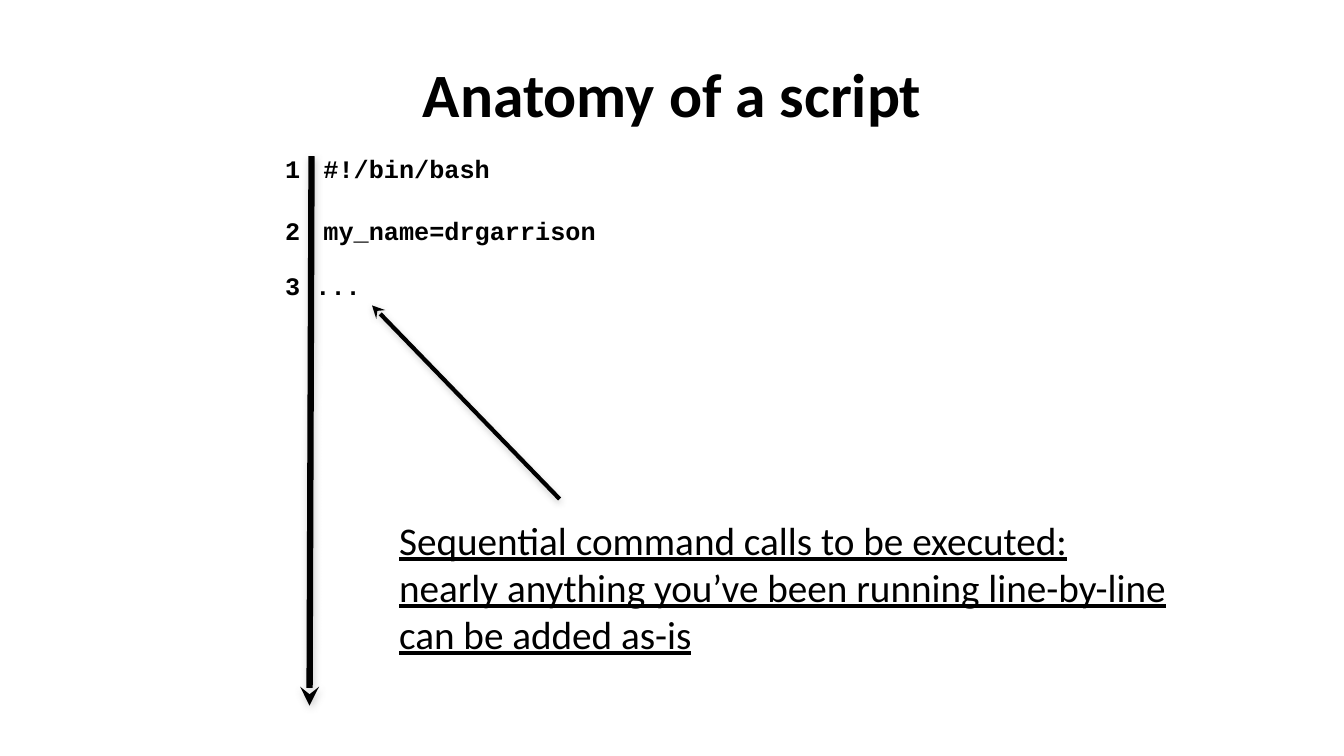
"""Build a slide on the anatomy of a shell script."""
from lxml import etree
from pptx import Presentation
from pptx.dml.color import RGBColor
from pptx.enum import shapes, text
from pptx.oxml import ns
from pptx.util import Inches, Pt

BLACK = "000000"
CODE = {"font": "Courier New", "size": 18, "bold": True}


def color(code):
    """Turn a hex string into a colour."""
    return RGBColor.from_string(code)


def add_node(parent, tag, **attrs):
    """Append a drawing element with attributes."""
    node = etree.SubElement(parent, ns.qn(tag))
    for key, value in attrs.items():
        node.set(key, str(value))
    return node


def number(para):
    """Give a paragraph an automatic number and hanging indent."""
    props = para._p.get_or_add_pPr()
    props.set("marL", str(Inches(0.38)))
    props.set("indent", str(-Inches(0.38)))
    add_node(props, "a:buFont", typeface=CODE["font"])
    add_node(props, "a:buAutoNum", type="arabicPlain")


def add_text(slide, box, words, font="Calibri", size=18, bold=False,
             under=False, center=False, middle=False, numbers=False, gap=0):
    """Add a text box with one paragraph per line of words."""
    frame = slide.shapes.add_textbox(*map(Inches, box)).text_frame
    frame.word_wrap = True
    if middle:
        frame.vertical_anchor = text.MSO_ANCHOR.MIDDLE
    frame.text = words
    for index, para in enumerate(frame.paragraphs):
        if numbers:
            number(para)
        if center:
            para.alignment = text.PP_ALIGN.CENTER
        if index and gap:
            para.space_before = Pt(gap)
        style = para.runs[0].font
        style.name, style.size = font, Pt(size)
        style.bold, style.underline = bold, under
        style.color.rgb = color(BLACK)


def add_arrow(slide, start, end, width):
    """Add a straight arrow with a soft shadow."""
    arrow = slide.shapes.add_connector(
        shapes.MSO_CONNECTOR.STRAIGHT, *map(Inches, start + end))
    arrow.line.color.rgb = color(BLACK)
    arrow.line.width = Pt(width)
    add_node(arrow.line._get_or_add_ln(), "a:tailEnd", type="stealth")
    effects = add_node(arrow._element.spPr, "a:effectLst")
    shadow = add_node(effects, "a:outerShdw", blurRad=Pt(5), dist=Pt(1.6),
                      dir=90 * 60000, rotWithShape=0)
    tint = add_node(shadow, "a:srgbClr", val="808080")
    add_node(tint, "a:alpha", val=38000)


def main():
    """Build and save the slide."""
    deck = Presentation()
    deck.slide_width, deck.slide_height = Inches(13.33), Inches(7.5)
    slide = deck.slides.add_slide(deck.slide_layouts[6])
    add_text(slide, (2.17, 0.3, 9, 1.25), "Anatomy of a script",
             size=44, bold=True, center=True, middle=True)
    add_arrow(slide, (3.09, 1.55), (3.07, 7), 4.5)
    add_arrow(slide, (5.55, 4.95), (3.69, 3.03), 3)
    add_text(slide, (3.86, 5.07, 7.97, 1.51),
             "Sequential command calls to be executed:\n"
             "nearly anything you’ve been running line-by-line\n"
             "can be added as-is", size=28, under=True)
    add_text(slide, (2.73, 2.63, 1.77, 0.51), "3 ...", **CODE)
    add_text(slide, (2.73, 1.47, 3.67, 1.01),
             "#!/bin/bash\nmy_name=drgarrison", numbers=True, gap=23, **CODE)
    deck.save("out.pptx")


if __name__ == "__main__":
    main()
